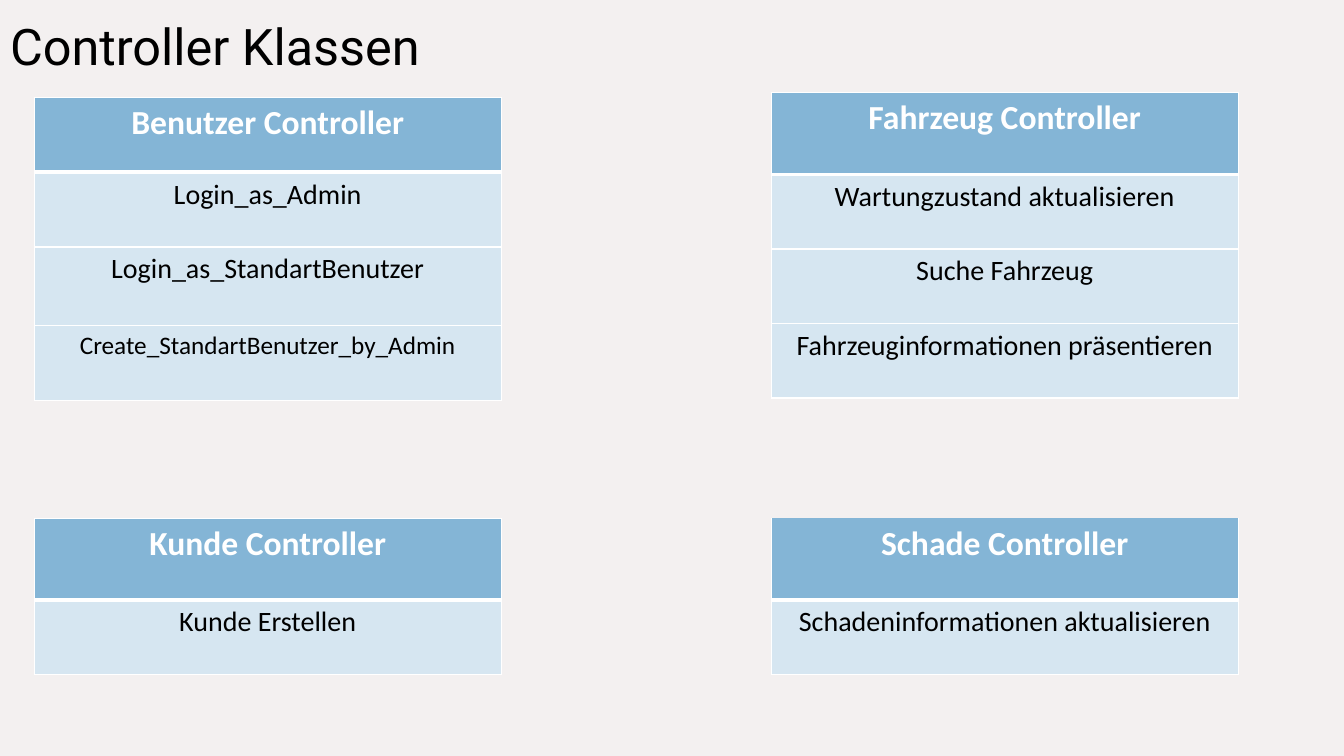
import pptx
import pptx.util
import pptx.dml.color
import pptx.enum.text
import pptx.oxml
import pptx.oxml.ns
from lxml import etree

Inches, Pt = pptx.util.Inches, pptx.util.Pt
RGBColor = pptx.dml.color.RGBColor

BACKGROUND = RGBColor(0xF3, 0xF0, 0xF0)
HEADER = RGBColor(0x84, 0xB5, 0xD6)
METHOD = RGBColor(0xD6, 0xE6, 0xF1)
WHITE = RGBColor(0xFF, 0xFF, 0xFF)
BLACK = RGBColor(0, 0, 0)

COLUMNS = (0.34, 7.65)
TABLE_WIDTH = 4.63
ROW = 0.74
TALL_ROW = 0.81
LOWER_TOP = 5.14


def add_run(p, text, font, size, color, bold=False):
    """Add one formatted run to a paragraph."""
    r = p.add_run()
    r.text = text
    r.font.name = font
    r.font.size = Pt(size)
    r.font.bold = bold
    r.font.color.rgb = color


def set_borders(cell, **widths):
    """Draw white cell borders with the given widths in points."""
    tc_pr = cell._tc.get_or_add_tcPr()
    for i, (side, width) in enumerate(widths.items()):
        line = etree.Element(pptx.oxml.ns.qn(f"a:ln{side}"), w=str(Pt(width)))
        kind = "a:solidFill" if width else "a:noFill"
        fill = etree.SubElement(line, pptx.oxml.ns.qn(kind))
        if width:
            etree.SubElement(fill, pptx.oxml.ns.qn("a:srgbClr"), val=str(WHITE))
        tc_pr.insert(i, line)


def fill_cell(cell, text, size, fill, color, bold):
    """Fill a cell and centre its text."""
    cell.fill.solid()
    cell.fill.fore_color.rgb = fill
    p = cell.text_frame.paragraphs[0]
    p.alignment = pptx.enum.text.PP_ALIGN.CENTER
    add_run(p, text, "Calibri", size, color, bold)


def add_title(s, text, width, height):
    """Place the slide title in the top band."""
    title = s.shapes.title
    title.left, title.top, title.width, title.height = 0, 0, width, height
    tf = title.text_frame
    tf.vertical_anchor = pptx.enum.text.MSO_ANCHOR.BOTTOM
    p = tf.paragraphs[0]
    p.alignment = pptx.enum.text.PP_ALIGN.LEFT
    add_run(p, text, "Roboto", 36, BLACK)


def add_controller(s, left, top, name, methods, heights, top_border=1):
    """Add a controller table with a header and (method, size) rows."""
    frame = s.shapes.add_table(len(heights), 1, Inches(left), Inches(top),
                               Inches(TABLE_WIDTH), Inches(sum(heights)))
    table = frame.table
    for row, height in zip(table.rows, heights):
        row.height = Inches(height)
    header = table.cell(0, 0)
    fill_cell(header, name, 24, HEADER, WHITE, True)
    set_borders(header, L=1, R=1, T=top_border, B=3)
    for i, (method, size) in enumerate(methods, start=1):
        cell = table.cell(i, 0)
        fill_cell(cell, method, size, METHOD, BLACK, False)
        set_borders(cell, L=1, R=1, T=3 if i == 1 else 1, B=1)


def build_controllers(prs):
    """Build the slide of controller classes."""
    s = prs.slides.add_slide(prs.slide_layouts[5])
    s.background.fill.solid()
    s.background.fill.fore_color.rgb = BACKGROUND
    add_title(s, "Controller Klassen", prs.slide_width, Inches(0.8))
    left, right = COLUMNS
    add_controller(s, left, 0.97, "Benutzer Controller",
                   [("Login_as_Admin", 20), ("Login_as_StandartBenutzer", 20),
                    ("Create_StandartBenutzer_by_Admin", 18)],
                   [ROW, ROW, 0.78, ROW])
    add_controller(s, right, 0.92, "Fahrzeug Controller",
                   [("Wartungzustand aktualisieren", 20), ("Suche Fahrzeug", 20),
                    ("Fahrzeuginformationen präsentieren", 20)],
                   [TALL_ROW, ROW, ROW, ROW])
    add_controller(s, left, LOWER_TOP, "Kunde Controller",
                   [("Kunde Erstellen", 20)], [TALL_ROW, ROW])
    add_controller(s, right, LOWER_TOP, "Schade Controller",
                   [("Schadeninformationen aktualisieren", 20)],
                   [TALL_ROW, ROW], top_border=0)


prs = pptx.Presentation()
prs.slide_width, prs.slide_height = Inches(13.33), Inches(7.5)
build_controllers(prs)
prs.save("out.pptx")
